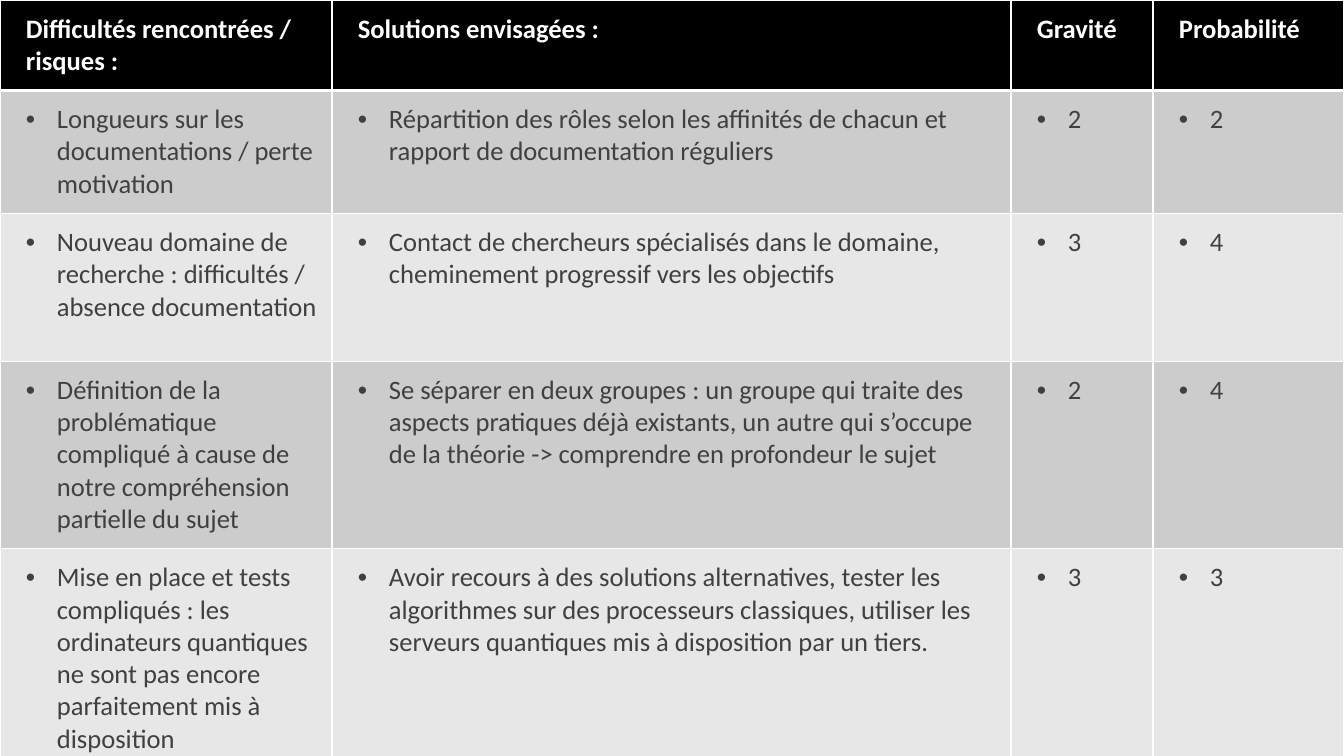
from lxml.etree import SubElement
from pptx import Presentation
from pptx.dml.color import RGBColor
from pptx.oxml.ns import qn
from pptx.util import Pt

SLIDE_WIDTH, SLIDE_HEIGHT = 1344, 756
EMU_PER_PX = 12192000 / SLIDE_WIDTH

COLORS = {
    "header": "000000",
    "header_text": "FFFFFF",
    "body_text": "404040",
    "odd_row": "CCCCCC",
    "even_row": "E7E7E7",
    "border": "FFFFFF",
}
FONT, FONT_SIZE = "Calibri", 19
BULLET_INDENT = 31
THIN, THICK = 1, 3

COLUMN_WIDTHS = [332, 679, 142, 191]
ROW_HEIGHTS = [53, 111, 148, 186, 186]
TABLE_HEIGHT = 764

HEADINGS = ("Difficultés rencontrées / risques :", "Solutions envisagées :", "Gravité", "Probabilité")
RISKS = [
    ("Longueurs sur les documentations / perte motivation",
     "Répartition des rôles selon les affinités de chacun et rapport de documentation réguliers",
     "2", "2"),
    ("Nouveau domaine de recherche : difficultés / absence documentation",
     "Contact de chercheurs spécialisés dans le domaine, cheminement progressif vers les objectifs",
     "3", "4"),
    ("Définition de la problématique compliqué à cause de notre compréhension partielle du sujet",
     "Se séparer en deux groupes : un groupe qui traite des aspects pratiques déjà existants, "
     "un autre qui s’occupe de la théorie -> comprendre en profondeur le sujet",
     "2", "4"),
    ("Mise en place et tests compliqués : les ordinateurs quantiques ne sont pas encore "
     "parfaitement mis à disposition",
     "Avoir recours à des solutions alternatives, tester les algorithmes sur des processeurs "
     "classiques, utiliser les serveurs quantiques mis à disposition par un tiers.",
     "3", "3"),
]


def px(length):
    return round(length * EMU_PER_PX)


def write_text(frame, text, *, color, bold=False, bullet=False):
    paragraph = frame.paragraphs[0]
    run = paragraph.add_run()
    run.text = text
    run.font.name = FONT
    run.font.size = Pt(FONT_SIZE)
    run.font.bold = bold
    run.font.color.rgb = RGBColor.from_string(COLORS[color])
    if bullet:
        properties = paragraph._p.get_or_add_pPr()
        properties.set("marL", str(px(BULLET_INDENT)))
        properties.set("indent", str(-px(BULLET_INDENT)))
        SubElement(properties, qn("a:buFont"), typeface="Arial")
        SubElement(properties, qn("a:buChar"), char="•")


class RiskSlide:
    def __init__(self, presentation):
        self.slide = presentation.slides.add_slide(presentation.slide_layouts[6])

    def set_borders(self, cell, top, bottom):
        """Border lines must precede the fill, in the order left, right, top, bottom."""
        properties = cell._tc.get_or_add_tcPr()
        sides = {"a:lnL": THIN, "a:lnR": THIN, "a:lnT": top, "a:lnB": bottom}
        for position, (side, width) in enumerate(sides.items()):
            line = SubElement(properties, qn(side), w=str(Pt(width)))
            fill = SubElement(line, qn("a:solidFill"))
            SubElement(fill, qn("a:srgbClr"), val=COLORS["border"])
            properties.insert(position, line)

    def fill_cell(self, cell, text, row_index):
        is_header = row_index == 0
        cell.margin_left = px(26)
        cell.margin_top = cell.margin_right = cell.margin_bottom = px(13)
        background = "header" if is_header else "odd_row" if row_index % 2 else "even_row"
        cell.fill.solid()
        cell.fill.fore_color.rgb = RGBColor.from_string(COLORS[background])
        self.set_borders(cell, top=THICK if row_index == 1 else THIN,
                         bottom=THICK if is_header else THIN)
        write_text(cell.text_frame, text, bold=is_header, bullet=not is_header,
                   color="header_text" if is_header else "body_text")

    def add_table(self, rows):
        frame = self.slide.shapes.add_table(
            len(rows), len(COLUMN_WIDTHS), 0, 0, px(SLIDE_WIDTH), px(TABLE_HEIGHT))
        table = frame.table
        for column, width in zip(table.columns, COLUMN_WIDTHS):
            column.width = px(width)
        for row_index, (row, height, texts) in enumerate(zip(table.rows, ROW_HEIGHTS, rows)):
            row.height = px(height)
            for cell, text in zip(row.cells, texts):
                self.fill_cell(cell, text, row_index)
        frame.height = px(TABLE_HEIGHT)


def main():
    presentation = Presentation()
    presentation.slide_width = px(SLIDE_WIDTH)
    presentation.slide_height = px(SLIDE_HEIGHT)
    RiskSlide(presentation).add_table([HEADINGS, *RISKS])
    presentation.save("out.pptx")


if __name__ == "__main__":
    main()
